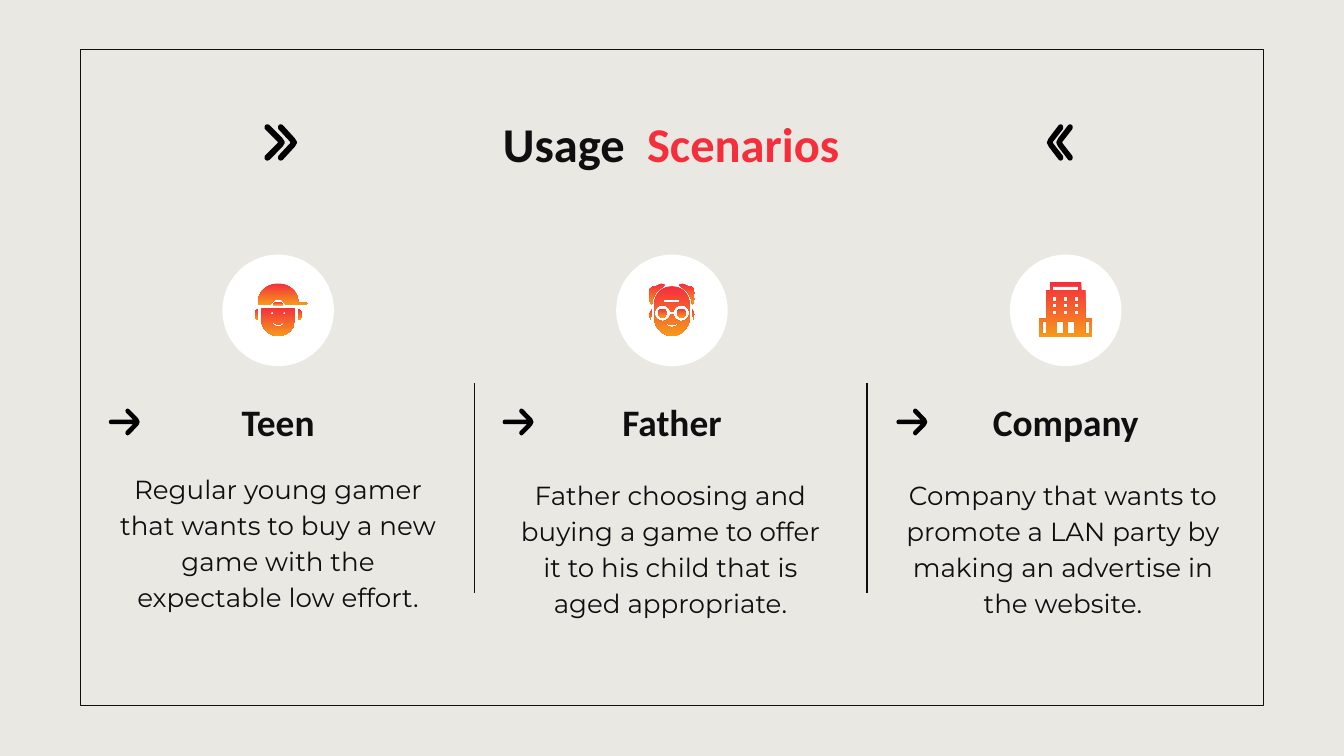
from math import cos, radians, sin

from lxml import etree
from pptx import Presentation
from pptx.dml.color import RGBColor
from pptx.enum.shapes import MSO_CONNECTOR, MSO_SHAPE
from pptx.enum.text import MSO_ANCHOR, MSO_AUTO_SIZE, PP_ALIGN
from pptx.oxml.ns import qn
from pptx.util import Inches, Pt

COLORS = {
    "paper": "E9E8E3", "ink": "100E0E", "black": "000000",
    "white": "FFFFFF", "red": "F52E3C", "orange": "F59A1B",
}
TITLE = [("Usage ", "ink"), (" Scenarios", "red")]
SCENARIOS = [
    ("Teen", 3.5, "Regular young gamer that wants to buy a new game "
                  "with the expectable low effort."),
    ("Father", 3.54, "Father choosing and buying a game to offer it to "
                     "his child that is aged appropriate."),
    ("Company", 3.54, "Company that wants to promote a LAN party by "
                      "making an advertise in the website."),
]
MIDDLE, PITCH = 5, 2.93
BODY_MIDDLE, BODY_PITCH = 4.99, 2.92
BADGE_Y, BADGE_SIZE = 2.31, 0.83


def arc(cx, cy, rx, ry, start=0, end=360):
    """Points along an ellipse; angles run clockwise from the right."""
    steps = 24
    angles = [radians(start + (end - start) * i / steps) for i in range(steps + 1)]
    return [(cx + rx * cos(a), cy + ry * sin(a)) for a in angles]


def box(x, y, width, height):
    return [(x, y), (x + width, y), (x + width, y + height), (x, y + height)]


def mirror(points):
    return [(-x, y) for x, y in points]


def smile(y):
    return arc(0, y, 4.5, 3, 180, 0) + arc(0, y, 3, 1.3, 0, 180)


# Icons: parts made of contours, in hundredths of an inch from the badge centre
EAR = arc(-15, 3, 2.5, 4, 90, 270)
TEEN = [
    [[(-12.5, -2)] + arc(0, 7, 12.5, 12, 180, 0) + [(12.5, -2)],
     arc(-4.5, 2, 1, 1), arc(4.5, 2, 1, 1), smile(9)],
    [[(-3.5, -4), (-3.5, -5), (-2.5, -6), (2.5, -6), (3.5, -5), (3.5, -4)]],
    [EAR],
    [mirror(EAR)],
    [[(-15, -4)] + arc(0, -6, 15, 14, 180, 360)
     + [(20, -6), (22, -5), (20, -4), (5.5, -4), (5.5, -5), (2.5, -8),
        (-2.5, -8), (-5.5, -5), (-5.5, -4)]],
]
HAIR = [(-8, -20), (-12, -18), (-14, -18), (-16.5, -16), (-17, -13), (-16.5, -11),
        (-17, -8), (-15, -4), (-14.5, -8), (-11.5, -13.6), (-5, -19)]
SIDEBURN = [(-15, -1), (-17, 3), (-16, 7), (-15, 1)]
GLASSES = arc(7, 2, 6, 6, -170, 170) + arc(-7, 2, 6, 6, 10, 350)
FATHER = [
    [arc(0, -5, 13, 13, 180, 360) + arc(0, 4, 13.5, 15, 0, 180),
     box(-6, -8, 12, 2), GLASSES, smile(9.5)],
    [arc(-7, 2, 3.3, 3.3)], [arc(7, 2, 3.3, 3.3)],
    [HAIR], [mirror(HAIR)], [SIDEBURN], [mirror(SIDEBURN)],
]
WALL = [(-20, 20), (-20, 6), (-14.5, 6), (-14.5, -15), (-11.5, -15), (-11.5, -21)]
COMPANY = [
    [WALL + mirror(WALL)[::-1], box(-9.5, -18, 19, 3)]
    + [box(x, y, 3, 3) for y in (-10, -5, 0) for x in (-9.5, -1.5, 6.5)]
    + [box(x, 8, width, 9)
       for x, width in ((-17.5, 3), (-6.5, 5), (1.5, 5), (14.5, 3))],
]
ICONS = [TEEN, FATHER, COMPANY]

# Arrow in hundredths of an inch from its left end and mid-height
ARROW = [(0, 0), (0.5, -1.2), (1.5, -1.7), (18, -1.7), (12.7, -7), (12.4, -8.5),
         (13, -9.6), (14, -10), (15.2, -9.5), (22, -2.5), (23, 0), (22, 2.5),
         (15.2, 9.5), (14, 10), (13, 9.6), (12.4, 8.5), (12.7, 7), (18, 1.7),
         (1.5, 1.7), (0.5, 1.2)]
# Chevron upper half: share of reach, then hundredths of an inch from mid-height
CHEVRON = [(0.76, 0), (0.74, -1), (0, -10.5), (0, -12), (0.06, -12.5),
           (0.14, -12.2), (0.88, -2.5), (1, 0)]
CHEVRON_PLACES = [(1.98, 0.13), (2.08, 0.12), (7.9, -0.1), (7.97, -0.1)]


def rgb(name):
    return RGBColor.from_string(COLORS[name])


def add_outline(slide, contours, x, y):
    """Draw contours given in hundredths of an inch around (x, y)."""
    placed = [[(Inches(x + px / 100), Inches(y + py / 100)) for px, py in contour]
              for contour in contours]
    builder = slide.shapes.build_freeform(*placed[0][0])
    for number, contour in enumerate(placed):
        if number:
            builder.move_to(*contour[0])
        builder.add_line_segments(contour[1:], close=True)
    outline = builder.convert_to_shape()
    outline.shadow.inherit = False
    outline.line.fill.background()
    return outline


def paint(shape, color):
    shape.fill.solid()
    shape.fill.fore_color.rgb = rgb(color)


def add_shape(slide, preset, *place):
    shape = slide.shapes.add_shape(preset, *map(Inches, place))
    shape.shadow.inherit = False
    return shape


def set_text(shape, runs, size, font, bold=False, spacing=None):
    frame = shape.text_frame
    frame.word_wrap = True
    frame.auto_size = MSO_AUTO_SIZE.NONE
    frame.vertical_anchor = MSO_ANCHOR.MIDDLE
    frame.margin_left = frame.margin_right = Inches(0.1)
    frame.margin_top = frame.margin_bottom = Inches(0.1)
    paragraph = frame.paragraphs[0]
    paragraph.alignment = PP_ALIGN.CENTER
    paragraph.line_spacing = spacing
    paragraph.font.name, paragraph.font.size = font, Pt(size)
    paragraph.font.bold = bold
    for text, color in runs:
        run = paragraph.add_run()
        run.text = text
        run.font.color.rgb = rgb(color)


def add_text(slide, place, text, *style):
    set_text(slide.shapes.add_textbox(*map(Inches, place)), [(text, "ink")], *style)


def add_divider(slide, x):
    divider = slide.shapes.add_connector(
        MSO_CONNECTOR.STRAIGHT, Inches(x), Inches(2.85), Inches(x), Inches(4.41))
    divider.line.color.rgb = rgb("ink")
    divider.line.width = Pt(0.75)
    etree.SubElement(divider._element.spPr, qn("a:effectLst"))


def add_icon(slide, parts, x):
    for contours in parts:
        part = add_outline(slide, contours, x, BADGE_Y)
        part.fill.gradient()
        part.fill.gradient_angle = 270
        for stop, color in zip(part.fill.gradient_stops, ("red", "orange")):
            stop.color.rgb = rgb(color)


def main():
    deck = Presentation()
    deck.slide_width = Inches(10)
    deck.slide_height = deck.slide_width * 9 // 16
    slide = deck.slides.add_slide(deck.slide_layouts[5])
    slide.background.fill.solid()
    slide.background.fill.fore_color.rgb = rgb("paper")

    frame = add_shape(slide, MSO_SHAPE.RECTANGLE, 0.6, 0.37, 8.8, 4.88)
    frame.fill.background()
    frame.line.color.rgb = rgb("ink")
    frame.line.width = Pt(0.75)

    title = slide.shapes.title
    title.left, title.top = Inches(2.2), Inches(0.75)
    title.width, title.height = Inches(5.59), Inches(0.63)
    set_text(title, TITLE, 26, "Calibri", True)

    for tail, reach in CHEVRON_PLACES:
        half = [(share * reach * 100, y) for share, y in CHEVRON]
        lower = [(x, -y) for x, y in half[::-1]]
        chevron = add_outline(slide, [half + lower], tail, 1.06)
        paint(chevron, "ink")
        chevron.line.color.rgb = rgb("black")
        chevron.line.width = Pt(1.5)

    for column, ((name, body_top, story), icon) in enumerate(zip(SCENARIOS, ICONS)):
        center = MIDDLE + (column - 1) * PITCH
        body_center = BODY_MIDDLE + (column - 1) * BODY_PITCH
        badge = add_shape(slide, MSO_SHAPE.OVAL, center - BADGE_SIZE / 2,
                          BADGE_Y - BADGE_SIZE / 2, BADGE_SIZE, BADGE_SIZE)
        paint(badge, "white")
        badge.line.fill.background()
        add_icon(slide, icon, center)
        paint(add_outline(slide, [ARROW], center - 1.26, 3.14), "black")
        add_text(slide, (center - 0.95, 2.85, 1.9, 0.58), name, 20, "Calibri", True)
        add_text(slide, (body_center - 1.28, body_top, 2.56, 1.05), story,
                 14, "Montserrat", False, 1.15)
        if column:
            add_divider(slide, body_center - BODY_PITCH / 2)

    deck.save("out.pptx")


if __name__ == "__main__":
    main()
